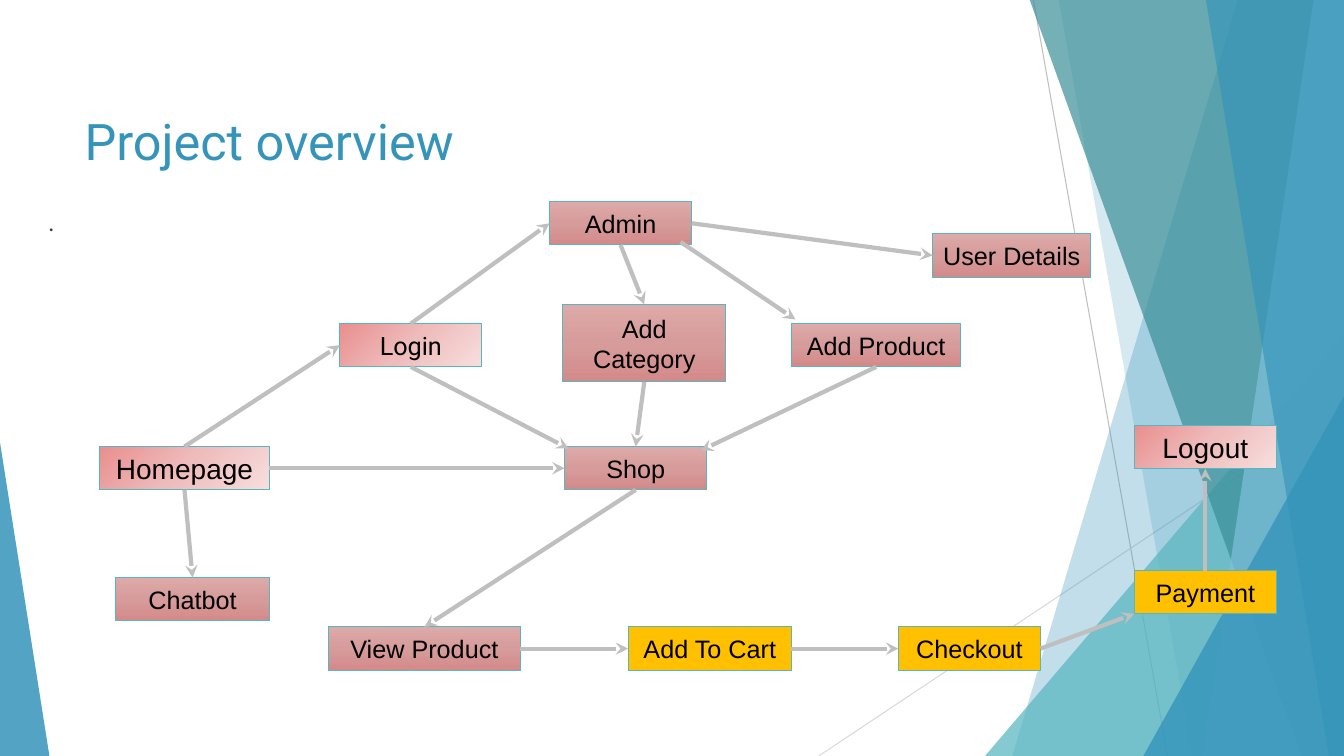
from copy import deepcopy
from dataclasses import dataclass
from enum import IntEnum

from lxml import etree
from pptx import Presentation
from pptx import util as u
from pptx.dml import color
from pptx.enum import dml, shapes, text
from pptx.oxml import ns

EMU_PER_PX = 9144
WIDTH, HEIGHT = 1333, 750
BLUE, TEAL, GREY = "3494BA", "58B6C0", "BFBFBF"


class Side(IntEnum):
    TOP = 0
    LEFT = 1
    BOTTOM = 2
    RIGHT = 3


@dataclass(frozen=True)
class Style:
    stops: tuple[str, ...]
    angle: int = 0


ENTRY = Style(("E98F8F", "EFBCBC", "F7DEDE"), 45)
STEP = Style(("DDAAA9", "D69C9B", "D38A89"), 90)
ORDER = Style(("FFC000",))


@dataclass(frozen=True)
class Node:
    label: str
    left: int
    top: int
    width: int
    style: Style
    height: int = 43
    size: int = 18
    font: str = "Arial"


@dataclass(frozen=True)
class Link:
    source: str
    leave: Side | tuple[int, int]
    target: str
    arrive: Side | tuple[int, int]


@dataclass(frozen=True)
class Facet:
    points: tuple[tuple[int, int], ...]
    fill: str
    opacity: int


@dataclass(frozen=True)
class Wedge:
    left: int
    top: int
    width: int
    apex: int
    fill: str
    opacity: int


RAYS = [((1025, 0), (1158, 750), GREY), ((1333, 403), (812, 750), "D9D9D9")]

DECOR = [
    Facet(((1228, -1), (1333, -1), (1333, 750), (1004, 750)), BLUE, 30),
    Facet(((1050, -1), (1333, -1), (1333, 750), (1183, 750)), BLUE, 20),
    Wedge(977, 333, 356, 1, TEAL, 72),
    Facet(((1021, -1), (1333, -1), (1333, 750), (1291, 750)), "3A8F98", 70),
    Facet(((1303, -1), (1333, -1), (1333, 750), (1192, 750)), "7FC1DB", 70),
    Facet(((1196, -1), (1333, -1), (1333, 750), (1318, 750)), BLUE, 65),
    Wedge(1134, 393, 199, 1, BLUE, 80),
    Wedge(0, 439, 49, 0, BLUE, 85),
]

NODES = [
    Node("Login", 337, 321, 141, ENTRY, font="Roboto"),
    Node("Homepage", 99, 443, 168, ENTRY, size=20),
    Node("Shop", 560, 443, 141, STEP),
    Node("User Details", 925, 232, 157, STEP),
    Node("View Product", 326, 622, 190, STEP),
    Node("Payment", 1125, 566, 141, ORDER),
    Node("Add To Cart", 623, 622, 162, ORDER),
    Node("Checkout", 891, 622, 141, ORDER),
    Node("Admin", 545, 200, 141, STEP),
    Node("Add Category", 558, 302, 162, STEP, height=77),
    Node("Add Product", 785, 321, 168, STEP),
    Node("Logout", 1125, 422, 141, ENTRY, size=20),
    Node("Chatbot", 115, 573, 152, STEP),
]

LINKS = [
    Link("Homepage", Side.TOP, "Login", Side.LEFT),
    Link("Homepage", Side.RIGHT, "Shop", Side.LEFT),
    Link("Login", Side.TOP, "Admin", Side.LEFT),
    Link("Admin", Side.BOTTOM, "Add Category", Side.TOP),
    Link("Admin", (675, 240), "Add Product", (789, 317)),
    Link("Admin", Side.RIGHT, "User Details", Side.LEFT),
    Link("Login", Side.BOTTOM, "Shop", (564, 445)),
    Link("Add Category", Side.BOTTOM, "Shop", Side.TOP),
    Link("Add Product", Side.BOTTOM, "Shop", (695, 447)),
    Link("Shop", Side.BOTTOM, "View Product", Side.TOP),
    Link("View Product", Side.RIGHT, "Add To Cart", Side.LEFT),
    Link("Add To Cart", Side.RIGHT, "Checkout", Side.LEFT),
    Link("Checkout", Side.RIGHT, "Payment", (1125, 609)),
    Link("Payment", Side.TOP, "Logout", Side.BOTTOM),
    Link("Homepage", Side.BOTTOM, "Chatbot", Side.TOP),
]


def px(*lengths: int) -> list[int]:
    return [length * EMU_PER_PX for length in lengths]


def rgb(value: str) -> color.RGBColor:
    return color.RGBColor.from_string(value)


def write(box, words: str, *, size: int, font: str, ink: str,
          align=text.PP_ALIGN.LEFT, anchor=text.MSO_ANCHOR.TOP) -> None:
    frame = box.text_frame
    frame.word_wrap = True
    frame.vertical_anchor = anchor
    para = frame.paragraphs[0]
    para.alignment = align
    span = para.add_run()
    span.text = words
    span.font.size = u.Pt(size)
    span.font.name = font
    span.font.color.rgb = rgb(ink)


def paint(shape, style: Style) -> None:
    if len(style.stops) == 1:
        shape.fill.solid()
        shape.fill.fore_color.rgb = rgb(style.stops[0])
        return
    shape.fill.gradient()
    shape.fill.gradient_angle = 360 - style.angle
    stop_list = shape.element.spPr.find(".//" + ns.qn("a:gsLst"))
    stop_list.insert(1, deepcopy(stop_list[0]))
    for index, (stop, value) in enumerate(zip(shape.fill.gradient_stops, style.stops)):
        stop.position = index / 2
        stop.color.rgb = rgb(value)


def draw_line(page, start: tuple[int, int], end: tuple[int, int], ink: str, width: float):
    line = page.shapes.add_connector(shapes.MSO_CONNECTOR.STRAIGHT, *px(*start, *end))
    line.line.color.rgb = rgb(ink)
    line.line.width = u.Pt(width)
    etree.SubElement(line.element.spPr, ns.qn("a:effectLst"))
    return line


def draw_decor(page, item: Facet | Wedge) -> None:
    if isinstance(item, Facet):
        first, *rest = [tuple(px(*point)) for point in item.points]
        builder = page.shapes.build_freeform(*first)
        builder.add_line_segments(rest, close=True)
        shape = builder.convert_to_shape()
    else:
        shape = page.shapes.add_shape(
            shapes.MSO_SHAPE.ISOSCELES_TRIANGLE,
            *px(item.left, item.top, item.width, HEIGHT - item.top))
        shape.adjustments[0] = item.apex
    shape.shadow.inherit = False
    shape.line.fill.background()
    paint(shape, Style((item.fill,)))
    tint = shape.element.spPr.find(".//" + ns.qn("a:srgbClr"))
    etree.SubElement(tint, ns.qn("a:alpha"), val=str(item.opacity * 1000))


def draw_node(page, node: Node):
    box = page.shapes.add_shape(
        shapes.MSO_SHAPE.RECTANGLE, *px(node.left, node.top, node.width, node.height))
    box.shadow.inherit = False
    paint(box, node.style)
    box.line.color.rgb = rgb(TEAL)
    box.line.width = u.Pt(0.75)
    write(box, node.label, size=node.size, font=node.font, ink="000000",
          align=text.PP_ALIGN.CENTER, anchor=text.MSO_ANCHOR.MIDDLE)
    return box


def draw_link(page, link: Link, boxes: dict) -> None:
    arrow = draw_line(page, (0, 0), (0, 0), GREY, 3)
    if isinstance(link.leave, Side):
        arrow.begin_connect(boxes[link.source], int(link.leave))
    else:
        arrow.begin_x, arrow.begin_y = px(*link.leave)
    if isinstance(link.arrive, Side):
        arrow.end_connect(boxes[link.target], int(link.arrive))
    else:
        arrow.end_x, arrow.end_y = px(*link.arrive)
    etree.SubElement(arrow.line._get_or_add_ln(), ns.qn("a:tailEnd"), type="stealth")


def main() -> None:
    deck = Presentation()
    deck.slide_width, deck.slide_height = px(WIDTH, HEIGHT)
    page = deck.slides.add_slide(deck.slide_layouts[6])
    for start, end, ink in RAYS:
        draw_line(page, start, end, ink, 0.75)
    for item in DECOR:
        draw_decor(page, item)
    title = page.shapes.add_textbox(*px(74, 67, 940, 144))
    write(title, "Project overview", size=36, font="Roboto", ink=BLUE,
          anchor=text.MSO_ANCHOR.MIDDLE)
    body = page.shapes.add_textbox(*px(38, 200, 1258, 509))
    write(body, ".", size=18, font="Roboto", ink="404040")
    boxes = {node.label: draw_node(page, node) for node in NODES}
    for link in LINKS:
        draw_link(page, link, boxes)
    deck.save("out.pptx")


if __name__ == "__main__":
    main()
